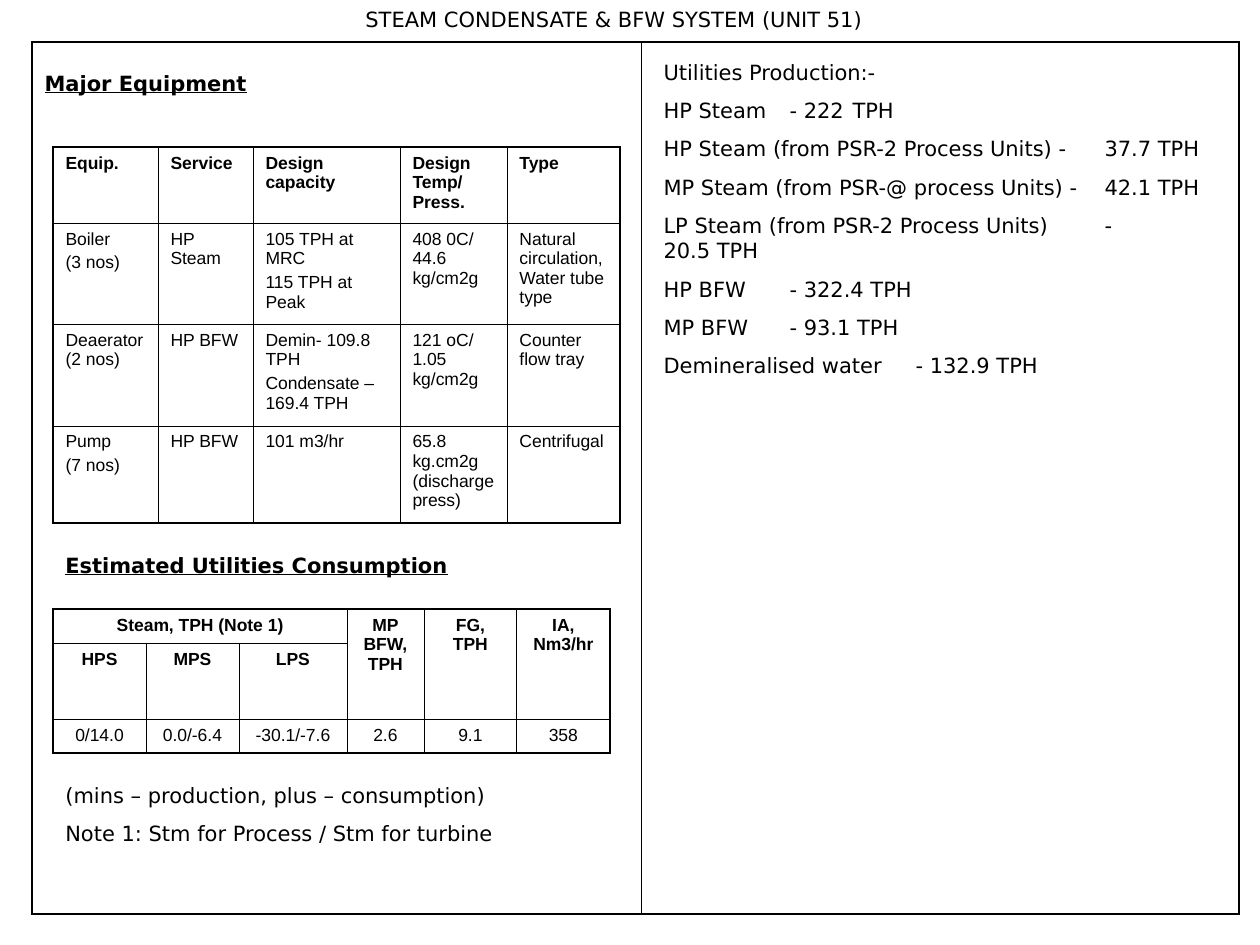
from lxml.etree import SubElement
from pptx import Presentation
from pptx.dml.color import RGBColor
from pptx.enum.text import MSO_ANCHOR, MSO_AUTO_SIZE, PP_ALIGN
from pptx.oxml.ns import qn
from pptx.util import Emu, Pt

PX = 914400 // 126
BLACK = RGBColor(0, 0, 0)
OUTER_LINE, INNER_LINE = Pt(1.08), Pt(0.45)

BODY = {"name": "DejaVu Sans", "size": Pt(12), "bold": False}
HEADING = {**BODY, "bold": True, "underline": True}
CELL = {"name": "Arial", "size": Pt(10), "bold": False}
CELL_HEADER = {**CELL, "bold": True}

EQUIPMENT = [
    ["Equip.", "Service", "Design capacity", "Design Temp/ Press.", "Type"],
    ["Boiler\n(3 nos)", "HP Steam", "105 TPH at MRC\n115 TPH at Peak",
     "408 0C/ 44.6 kg/cm2g", "Natural circulation, Water tube type"],
    ["Deaerator (2 nos)", "HP BFW", "Demin- 109.8 TPH\nCondensate – 169.4 TPH",
     "121 oC/ 1.05 kg/cm2g", "Counter flow tray"],
    ["Pump\n(7 nos)", "HP BFW", "101 m3/hr",
     "65.8 kg.cm2g (discharge press)", "Centrifugal"],
]
CONSUMPTION = [
    ["Steam, TPH (Note 1)", "", "", "MP BFW, TPH", "FG, TPH", "IA, Nm3/hr"],
    ["HPS", "MPS", "LPS", "", "", ""],
    ["0/14.0", "0.0/-6.4", "-30.1/-7.6", "2.6", "9.1", "358"],
]
# Each line comes with its tab stops in px from the text edge.
PRODUCTION = [
    ("Utilities Production:-", []),
    ("HP Steam\t- 222\tTPH", [376, 457]),
    ("HP Steam (from PSR-2 Process Units) -\t37.7 TPH", [423]),
    ("MP Steam (from PSR-@ process Units) -\t42.1 TPH", [427]),
    ("LP Steam (from PSR-2 Process Units)\t-\t20.5 TPH", [405, 425]),
    ("HP BFW\t- 322.4 TPH", [376]),
    ("MP BFW\t- 93.1 TPH", [392]),
    ("Demineralised water\t- 132.9 TPH", [392]),
]


def px(*lengths):
    return [Emu(length * PX) for length in lengths]


def set_tab_stops(paragraph, stops):
    properties = paragraph._p.get_or_add_pPr()
    properties.set("marL", "0")
    properties.set("indent", "0")
    SubElement(properties, qn("a:buNone"))
    tab_list = SubElement(properties, qn("a:tabLst"))
    for stop in stops:
        SubElement(tab_list, qn("a:tab"), pos=str(stop * PX), algn="l")


def write_lines(frame, lines, font_format, gap, alignment=PP_ALIGN.LEFT, tab_stops=None):
    for index, line in enumerate(lines):
        paragraph = frame.paragraphs[0] if index == 0 else frame.add_paragraph()
        paragraph.text = line
        if tab_stops:
            set_tab_stops(paragraph, tab_stops[index])
        paragraph.alignment = alignment
        paragraph.space_before = Pt(gap if index else 0)
        for name, value in font_format.items():
            setattr(paragraph.font, name, value)
        paragraph.font.color.rgb = BLACK


def prepare_frame(shape):
    frame = shape.text_frame
    settings = {"word_wrap": True, "auto_size": MSO_AUTO_SIZE.NONE,
                "vertical_anchor": MSO_ANCHOR.TOP}
    for name, value in settings.items():
        setattr(frame, name, value)
    return frame


def move_placeholder(shape, box):
    shape.left, shape.top, shape.width, shape.height = px(*box)
    return prepare_frame(shape)


def add_text(slide, box, lines, font_format):
    shape = slide.shapes.add_textbox(*px(*box))
    write_lines(prepare_frame(shape), lines, font_format, 7.5)


def add_border(cell, side, width):
    line = SubElement(cell._tc.get_or_add_tcPr(), qn(f"a:ln{side}"), w=str(width))
    fill = SubElement(line, qn("a:solidFill"))
    SubElement(fill, qn("a:srgbClr"), val=str(BLACK))


def add_grid(slide, left, top, widths, heights):
    """Add an unfilled table with a thicker outer frame."""
    rows, columns = len(heights), len(widths)
    box = px(left, top, sum(widths), sum(heights))
    table = slide.shapes.add_table(rows, columns, *box).table
    table.first_row = table.horz_banding = False
    for column, width in zip(table.columns, px(*widths)):
        column.width = width
    for row, height in zip(table.rows, px(*heights)):
        row.height = height
    for r in range(rows):
        for c in range(columns):
            cell = table.cell(r, c)
            on_edge = {"L": c == 0, "R": c == columns - 1, "T": r == 0, "B": r == rows - 1}
            for side, outer in on_edge.items():
                add_border(cell, side, OUTER_LINE if outer else INNER_LINE)
            cell.fill.background()
    return table


def fill_grid(table, content, header_rows, alignment):
    for r, row in enumerate(content):
        font_format = CELL_HEADER if r < header_rows else CELL
        for c, text in enumerate(row):
            if text:
                frame = table.cell(r, c).text_frame
                write_lines(frame, text.split("\n"), font_format, 2.5, alignment)


def add_page_frame(slide, left, top):
    table = add_grid(slide, left, top, [609, 598], [872])
    heading = table.cell(0, 0)
    heading.margin_top = Emu(30 * PX)
    write_lines(heading.text_frame, ["Major Equipment"], HEADING, 0)


def add_equipment(slide, left, top):
    table = add_grid(slide, left, top, [105, 95, 147, 107, 113], [76, 101, 102, 97])
    fill_grid(table, EQUIPMENT, 1, PP_ALIGN.LEFT)


def add_consumption(slide, left, top):
    add_text(slide, (left, top, 483, 50), ["Estimated Utilities Consumption"], HEADING)
    table = add_grid(slide, left, top + 63, [93, 93, 108, 77, 93, 93], [34, 76, 34])
    table.cell(0, 0).merge(table.cell(0, 2))
    for column in range(3, 6):
        table.cell(0, column).merge(table.cell(1, column))
    fill_grid(table, CONSUMPTION, 2, PP_ALIGN.CENTER)
    notes = ["(mins – production, plus – consumption)",
             "Note 1: Stm for Process / Stm for turbine"]
    add_text(slide, (left, top + 230, 557, 115), notes, BODY)


def place_production(slide, box):
    frame = move_placeholder(slide.placeholders[1], box)
    lines, tab_stops = zip(*PRODUCTION)
    write_lines(frame, lines, BODY, 7.5, tab_stops=tab_stops)


def main():
    presentation = Presentation()
    presentation.slide_width, presentation.slide_height = px(1260, 945)
    slide = presentation.slides.add_slide(presentation.slide_layouts[1])
    title = move_placeholder(slide.shapes.title, (42, 0, 1144, 38))
    write_lines(title, ["STEAM CONDENSATE & BFW SYSTEM (UNIT 51)"], BODY, 0, PP_ALIGN.CENTER)
    add_page_frame(slide, 32, 42)
    add_equipment(slide, 53, 147)
    add_consumption(slide, 53, 546)
    place_production(slide, (651, 53, 567, 345))
    presentation.save("out.pptx")


if __name__ == "__main__":
    main()
